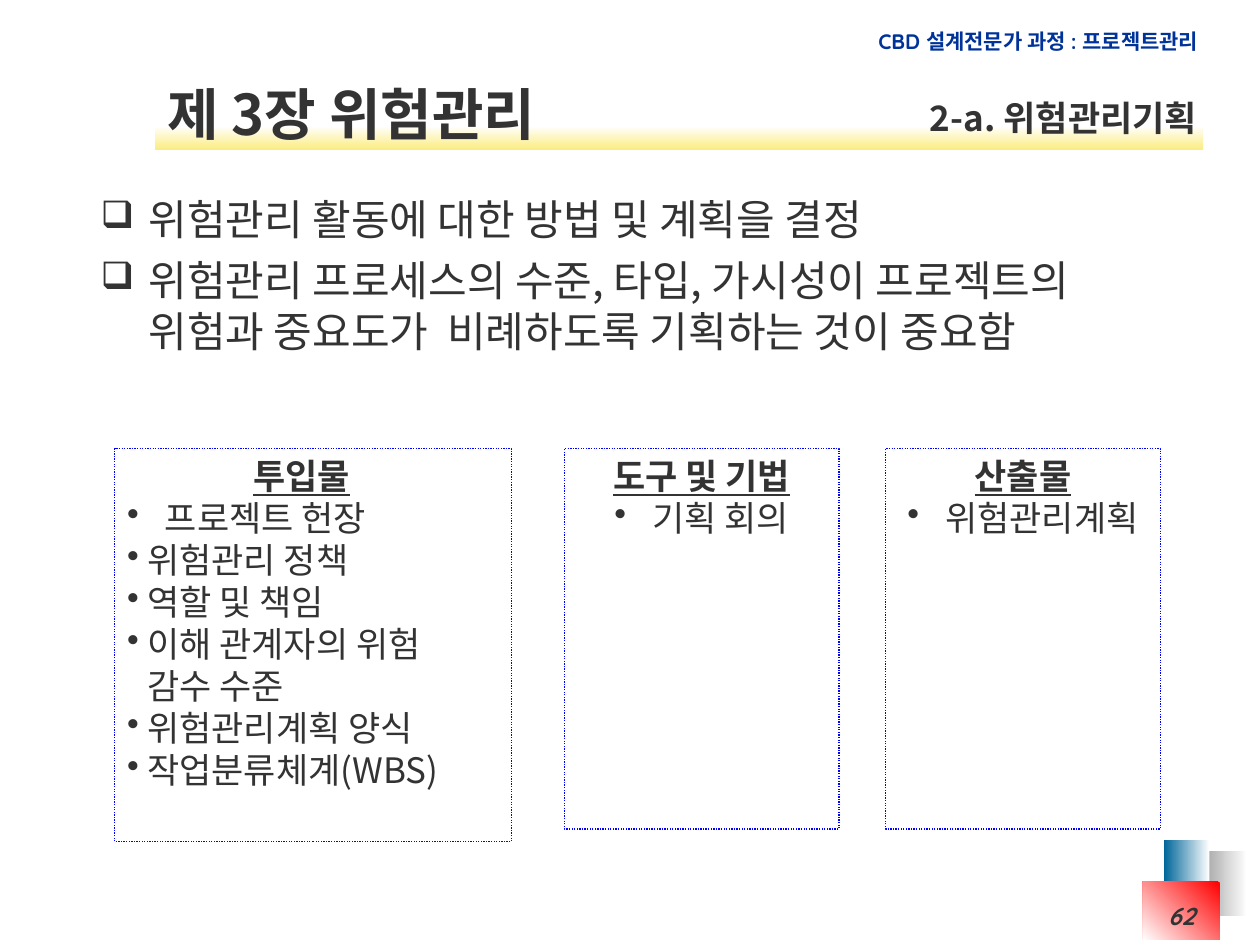
from lxml.etree import SubElement
from pptx import Presentation
from pptx.dml.color import RGBColor
from pptx.enum.dml import MSO_LINE
from pptx.enum.shapes import MSO_SHAPE
from pptx.enum.text import MSO_ANCHOR, PP_ALIGN
from pptx.oxml.ns import qn
from pptx.util import Inches, Pt

COLORS = {
    "text": "333333", "header": "003399", "border": "0000FF",
    "white": "FFFFFF", "gray": "969696", "teal": "006699",
    "red": "FF0000", "yellow": "FBEC7F",
}
BODY_FONT = "Noto Sans CJK KR"
ACCENT_FONT = "Quicksand"


def color(name):
    return RGBColor.from_string(COLORS[name])


def format_runs(para, size, bold=False, underline=None, italic=None,
                font=BODY_FONT, ink="text"):
    for span in para.runs:
        span.font.size = Pt(size)
        span.font.bold = bold
        span.font.italic = italic
        span.font.underline = underline
        span.font.color.rgb = color(ink)
        span.font.name = font
        east_asian = SubElement(span.font._element, qn("a:ea"))
        east_asian.set("typeface", BODY_FONT)


def set_bullet(para, char, indent, size=100):
    props = para._p.get_or_add_pPr()
    props.set("marL", str(Inches(indent)))
    props.set("indent", str(-Inches(indent)))
    bullet_color = SubElement(props, qn("a:buClr"))
    SubElement(bullet_color, qn("a:srgbClr")).set("val", COLORS["text"])
    SubElement(props, qn("a:buSzPct")).set("val", str(size * 1000))
    SubElement(props, qn("a:buChar")).set("char", char)


def add_gradient(page, left, top, width, height, start, end, angle):
    """Fill a rectangle from start to end; angle runs clockwise."""
    block = page.shapes.add_shape(MSO_SHAPE.RECTANGLE, Inches(left), Inches(top),
                                  Inches(width), Inches(height))
    block.shadow.inherit = False
    block.line.fill.background()
    block.fill.gradient()
    block.fill.gradient_angle = 360 - angle
    for stop, name in zip(block.fill.gradient_stops, (start, end)):
        stop.color.rgb = color(name)


def add_label(page, left, top, width, height, text, size, wrap=False, **style):
    box = page.shapes.add_textbox(Inches(left), Inches(top),
                                  Inches(width), Inches(height))
    box.text_frame.word_wrap = wrap
    para = box.text_frame.paragraphs[0]
    para.text = text
    para.alignment = PP_ALIGN.RIGHT
    format_runs(para, size, bold=True, **style)


def add_title(page, text):
    title = page.shapes.title
    title.left, title.top = Inches(1.23), Inches(0.59)
    title.width, title.height = Inches(3.77), Inches(0.61)
    title.text_frame.text = text
    title.text_frame.vertical_anchor = MSO_ANCHOR.MIDDLE
    para = title.text_frame.paragraphs[0]
    para.alignment = PP_ALIGN.LEFT
    format_runs(para, 32, bold=True)
    # Bring the title in front of the band
    page.shapes.element.append(title.element)


def add_points(page, points):
    box = page.shapes.add_textbox(Inches(0.7), Inches(1.49),
                                  Inches(8.85), Inches(1.92))
    frame = box.text_frame
    frame.word_wrap = True
    for number, point in enumerate(points):
        para = frame.add_paragraph() if number else frame.paragraphs[0]
        para.text = point
        set_bullet(para, "❑", 0.38, 90)
        if number:
            para.space_before = Pt(6)
        format_runs(para, 24)


def add_panel(page, left, width, height, heading, items, heading_indent=None):
    """Dotted panel; a heading indent makes the panel left aligned."""
    panel = page.shapes.add_shape(MSO_SHAPE.RECTANGLE, Inches(left), Inches(3.56),
                                  Inches(width), Inches(height))
    panel.shadow.inherit = False
    panel.fill.background()
    panel.line.color.rgb = color("border")
    panel.line.width = Pt(0.75)
    panel.line.dash_style = MSO_LINE.ROUND_DOT
    frame = panel.text_frame
    frame.word_wrap = True
    frame.vertical_anchor = MSO_ANCHOR.TOP

    head = frame.paragraphs[0]
    head.text = heading
    if heading_indent:
        head._p.get_or_add_pPr().set("marL", str(Inches(heading_indent)))
    format_runs(head, 20, bold=True, underline=True)
    for number, item in enumerate(items):
        para = frame.add_paragraph()
        para.text = item
        set_bullet(para, "•", 0.16 if number else 0.3)
        format_runs(para, 20)
    for para in frame.paragraphs:
        para.alignment = PP_ALIGN.LEFT if heading_indent else PP_ALIGN.CENTER


def main():
    deck = Presentation()
    deck.slide_width, deck.slide_height = Inches(10), Inches(7.5)
    page = deck.slides.add_slide(deck.slide_layouts[5])

    # Corner blocks and title band
    add_gradient(page, 9.5, 6.75, 0.4, 0.52, "white", "gray", 180)
    add_gradient(page, 9.24, 6.67, 0.36, 0.52, "white", "teal", 180)
    add_gradient(page, 9.07, 7, 0.61, 0.46, "red", "white", 135)
    add_gradient(page, 1.23, 1, 8.32, 0.19, "white", "yellow", 90)

    # Headings
    add_label(page, 6.75, 0.18, 2.86, 0.3, "CBD 설계전문가 과정 : 프로젝트관리", 12,
              font=ACCENT_FONT, ink="header")
    add_title(page, "제 3장 위험관리")
    add_label(page, 6.96, 0.72, 2.64, 0.44, "2-a. 위험관리기획", 20)

    # Main points
    add_points(page, [
        "위험관리 활동에 대한 방법 및 계획을 결정",
        "위험관리 프로세스의 수준, 타입, 가시성이 프로젝트의 "
        "위험과 중요도가  비례하도록 기획하는 것이 중요함",
    ])

    # Inputs, tools and outputs
    add_panel(page, 0.91, 3.15, 3.12, "투입물", [
        "프로젝트 헌장", "위험관리 정책", "역할 및 책임",
        "이해 관계자의 위험\v감수 수준", "위험관리계획 양식", "작업분류체계(WBS)",
    ], heading_indent=1)
    add_panel(page, 4.48, 2.18, 3.02, "도구 및 기법", ["기획 회의"])
    add_panel(page, 7.03, 2.18, 3.02, "산출물", ["위험관리계획"])

    # Page number
    add_label(page, 8.35, 7.1, 1.23, 0.4, "62", 14, wrap=True,
              font=ACCENT_FONT, italic=True)
    deck.save("out.pptx")


if __name__ == "__main__":
    main()
